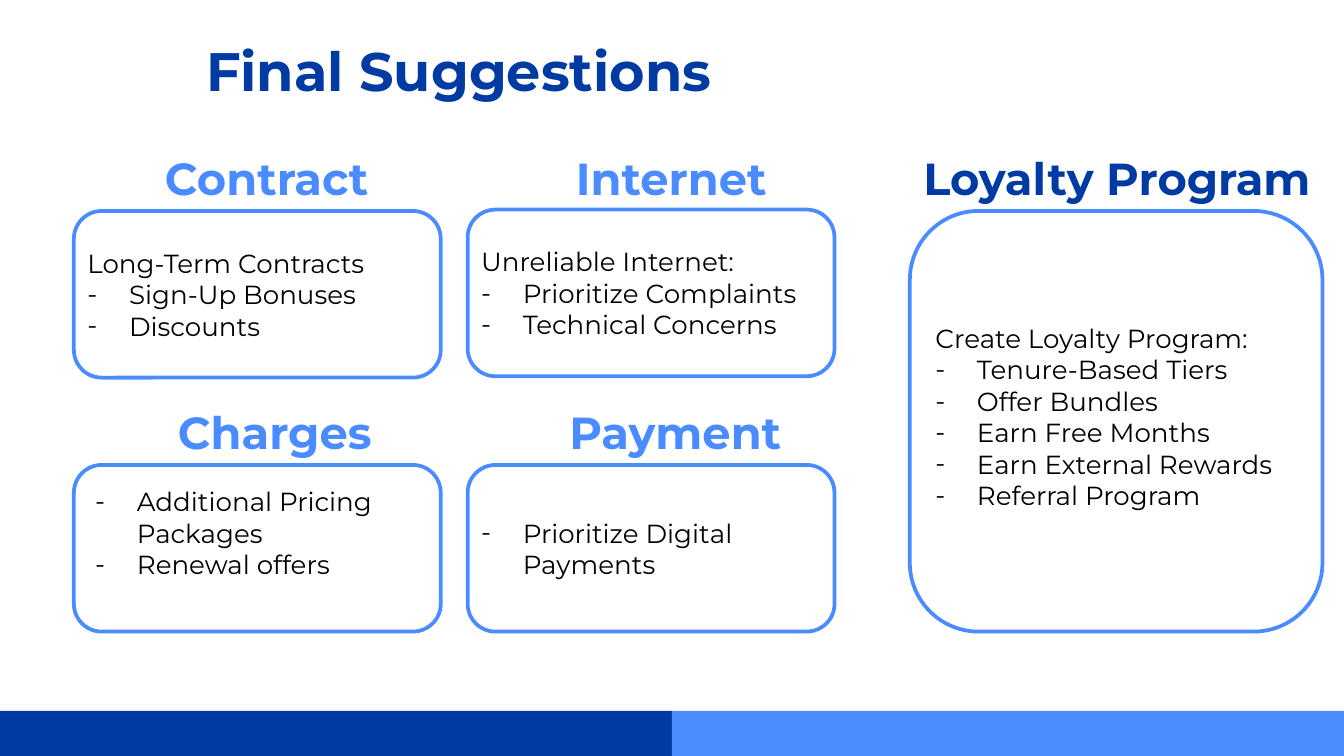
from lxml.etree import SubElement
from pptx import Presentation
from pptx.dml.color import RGBColor
from pptx.enum.shapes import MSO_SHAPE
from pptx.enum.text import MSO_ANCHOR, MSO_AUTO_SIZE, PP_ALIGN
from pptx.oxml.ns import qn
from pptx.util import Inches, Pt

COLORS = {"navy": "003BA3", "blue": "4A8CFF", "white": "FFFFFF", "black": "000000"}
FONT = "Montserrat"
CARD_WIDTH, CARD_HEIGHT = 2.73, 1.24
CARD_INSETS = (0.04, 0.04, 0.04, 0.04)


def rgb(name):
    """Return the named palette colour."""
    return RGBColor.from_string(COLORS[name])


def add_bullet(para):
    """Give a paragraph a hanging dash."""
    properties = para._p.get_or_add_pPr()
    properties.set("marL", str(Inches(0.31)))
    properties.set("indent", str(Inches(-0.31)))
    color = SubElement(properties, qn("a:buClr"))
    SubElement(color, qn("a:srgbClr")).set("val", COLORS["black"])
    SubElement(properties, qn("a:buFont")).set("typeface", FONT)
    SubElement(properties, qn("a:buChar")).set("char", "-")


def write(para, text, size=14, color="black", bold=False, align=PP_ALIGN.LEFT, bullet=False):
    """Write one formatted paragraph."""
    para.alignment = align
    if bullet:
        add_bullet(para)
    span = para.add_run()
    span.text = text
    span.font.name = FONT
    span.font.size = Pt(size)
    span.font.bold = bold
    span.font.color.rgb = rgb(color)


def set_insets(frame, insets):
    """Set the left, top, right and bottom margins of a text frame."""
    sides = [Inches(inset) for inset in insets]
    frame.margin_left, frame.margin_top, frame.margin_right, frame.margin_bottom = sides


def add_filled_shape(page, kind, area, fill):
    """Add a flat preset shape with a plain fill."""
    shape = page.shapes.add_shape(kind, *map(Inches, area))
    shape.shadow.inherit = False
    shape.fill.solid()
    shape.fill.fore_color.rgb = rgb(fill)
    return shape


def add_footer(page):
    """Add the two-tone band along the bottom."""
    for left, color in ((0, "navy"), (5, "blue")):
        bar = add_filled_shape(page, MSO_SHAPE.RECTANGLE, (left, 5.29, 5, 0.34), color)
        bar.line.fill.background()


def add_title(page, text):
    """Place and write the slide title."""
    title = page.shapes.title
    title.left, title.top = Inches(-0.8), Inches(0.18)
    title.width, title.height = Inches(8.43), Inches(0.61)
    frame = title.text_frame
    frame.auto_size = MSO_AUTO_SIZE.NONE
    frame.vertical_anchor = MSO_ANCHOR.TOP
    set_insets(frame, (0.1, 0.1, 0.1, 0.1))
    write(frame.paragraphs[0], text, size=29, color="navy", bold=True, align=PP_ALIGN.CENTER)


def add_heading(page, text, left, top, width=CARD_WIDTH, color="blue"):
    """Add a centred heading above a card."""
    box = page.shapes.add_textbox(Inches(left), Inches(top), Inches(width), Inches(0.5))
    box.text_frame.word_wrap = True
    write(box.text_frame.paragraphs[0], text, size=24, color=color, bold=True,
          align=PP_ALIGN.CENTER)


def add_card(page, area, items, lead=None, insets=CARD_INSETS):
    """Add a rounded card with an optional lead line and dashed items."""
    card = add_filled_shape(page, MSO_SHAPE.ROUNDED_RECTANGLE, area, "white")
    card.line.color.rgb = rgb("blue")
    card.line.width = Pt(2)
    frame = card.text_frame
    frame.word_wrap = True
    frame.vertical_anchor = MSO_ANCHOR.MIDDLE
    set_insets(frame, insets)
    lines = [(lead, False)] if lead else []
    lines += [(item, True) for item in items]
    for index, (text, bullet) in enumerate(lines):
        para = frame.add_paragraph() if index else frame.paragraphs[0]
        write(para, text, bullet=bullet)


def main():
    """Build the suggestions slide."""
    deck = Presentation()
    deck.slide_width = Inches(10)
    deck.slide_height = deck.slide_width * 9 // 16
    page = deck.slides.add_slide(deck.slide_layouts[5])
    add_footer(page)
    add_title(page, "Final Suggestions")

    size = (CARD_WIDTH, CARD_HEIGHT)
    add_card(page, (0.55, 1.57, *size), ["Sign-Up Bonuses", "Discounts"],
             lead="Long-Term Contracts")
    add_card(page, (0.55, 3.46, *size), ["Additional Pricing Packages", "Renewal offers"],
             insets=(0.1, 0.05, 0.1, 0.28))
    add_card(page, (3.48, 1.56, *size), ["Prioritize Complaints", "Technical Concerns"],
             lead="Unreliable Internet:")
    add_card(page, (3.48, 3.46, *size), ["Prioritize Digital Payments"])
    add_card(page, (6.77, 1.57, 3.07, 3.13),
             ["Tenure-Based Tiers", "Offer Bundles", "Earn Free Months",
              "Earn External Rewards", "Referral Program"],
             lead="Create Loyalty Program:", insets=(0.04, 0.2, 0.04, 0.27))

    add_heading(page, "Contract", 0.62, 1.07)
    add_heading(page, "Internet", 3.63, 1.07)
    add_heading(page, "Charges", 0.68, 2.96)
    add_heading(page, "Payment", 3.66, 2.96)
    add_heading(page, "Loyalty Program", 6.7, 1.07, width=3.22, color="navy")
    deck.save("out.pptx")


if __name__ == "__main__":
    main()
